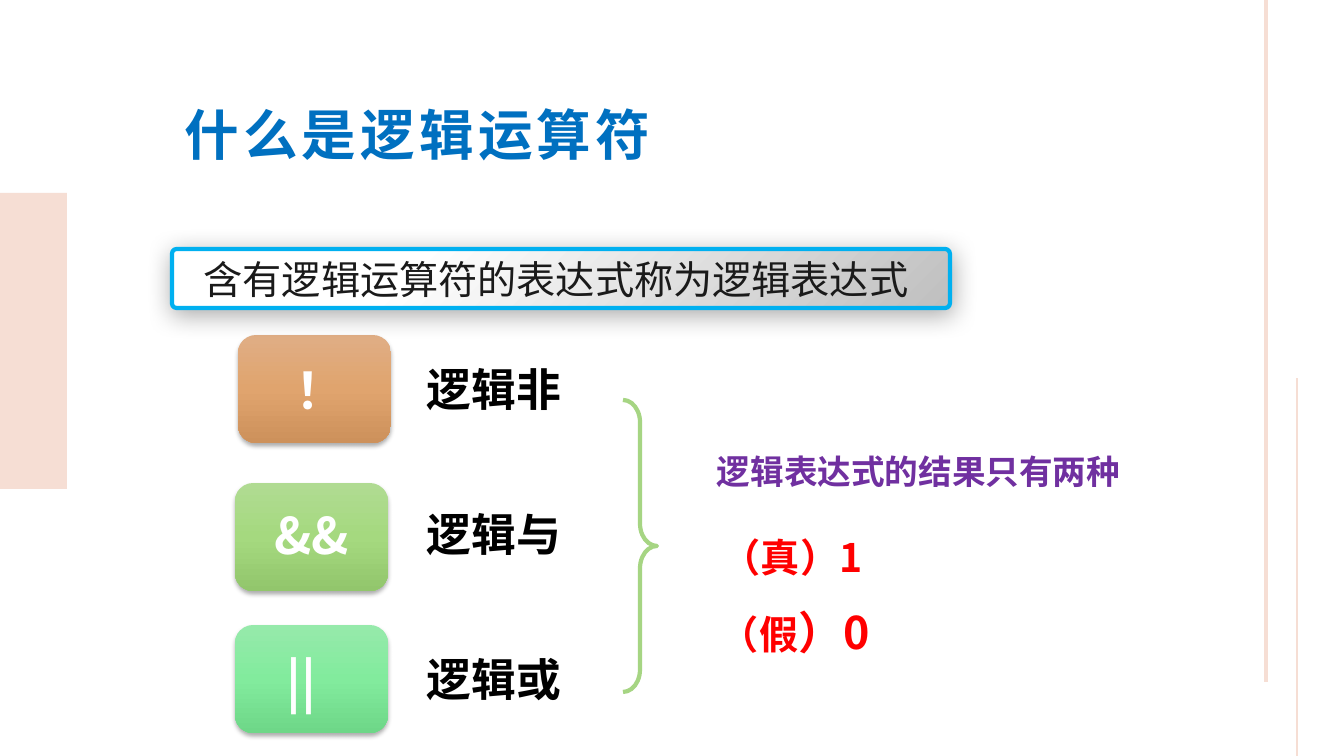
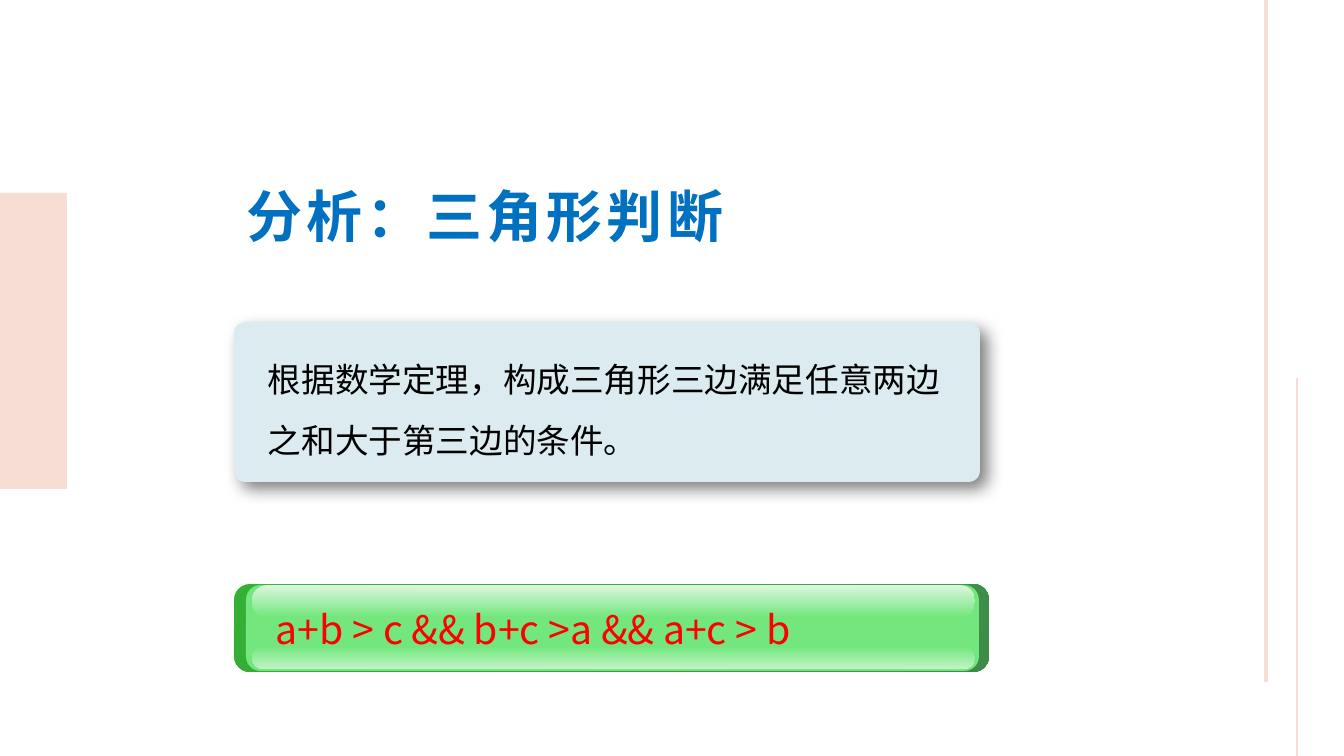
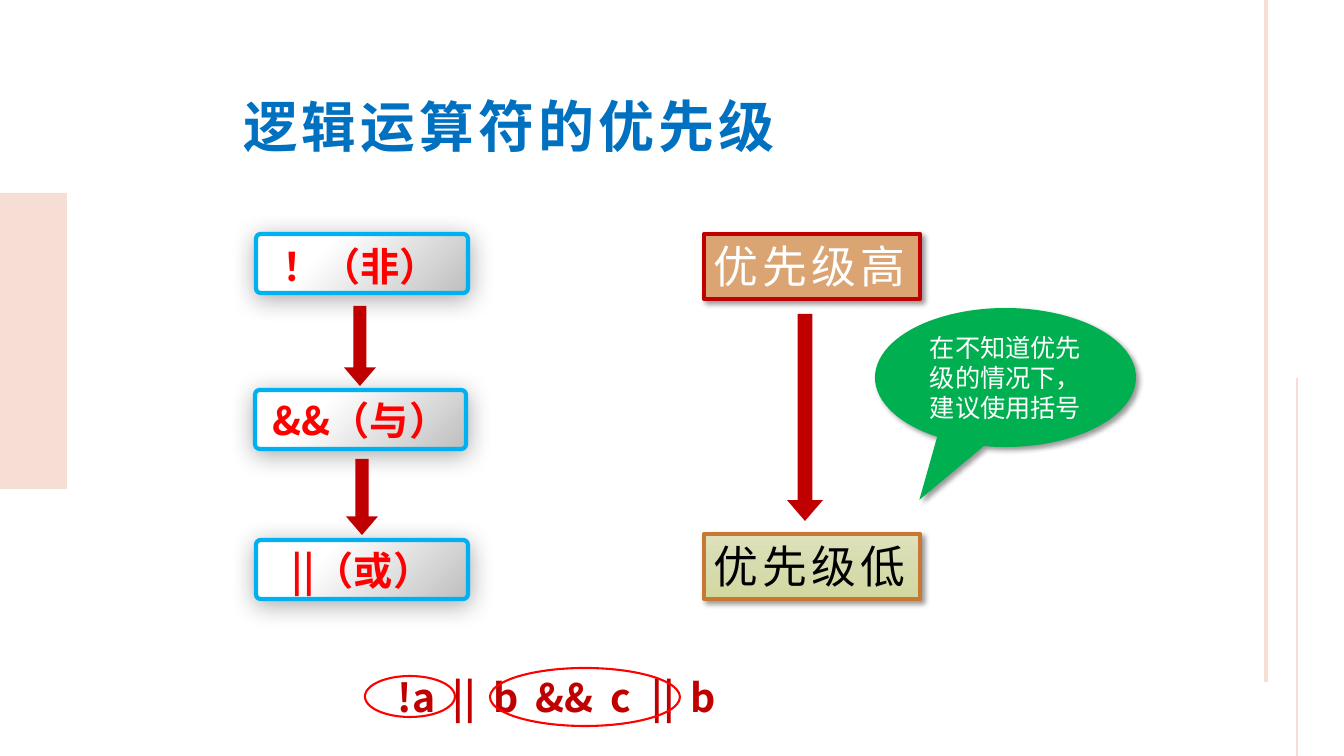
import pptx
import pptx.util
import pptx.dml.color
import pptx.enum.shapes
import pptx.enum.text
import pptx.oxml
import pptx.oxml.ns
from lxml import etree

FONT = "Noto Sans CJK SC"
COLORS = {
    "band": "F6DED4",
    "title": "0070C0",
    "black": "000000",
    "white": "FFFFFF",
    "ink": "1A1A1A",
    "red": "FF0000",
    "crimson": "C00000",
    "purple": "7030A0",
    "panel_edge": "00B0F0",
    "panel_gray": "BFBFBF",
    "brace": "A6D583",
    "card": "DCEBEF",
    "bar": "73E77E",
    "bar_left": "34B034",
    "bar_right": "3F8B4A",
    "bar_shine": "DDF7DF",
    "bar_glow": "C3F2C7",
    "high": "DBA473",
    "low_edge": "C77933",
    "advice": "00B050",
}
ORANGE = [(0, "E0AE85"), (50, "E0A46E"), (100, "CD915B")]
GREEN = [(0, "B0DB92"), (50, "A5D97F"), (100, "92C66C")]
MINT = [(0, "96EAAB"), (50, "82EB9D"), (100, "6ED788")]
OLIVE = [(0, "DEE1BB"), (50, "D7DBAE"), (100, "D3D8A0")]
PANEL = [(30, COLORS["white"]), (100, COLORS["panel_gray"])]

TILE_SHADOW = (32, 3.5, 2.2, 90)
PANEL_SHADOW = (33, 17.8, 3, 87)
CARD_SHADOW = (50, 12, 6, 45)
LABEL_SHADOW = (40, 4, 3, 45)

KIND = pptx.enum.shapes.MSO_SHAPE
CENTER = pptx.enum.text.PP_ALIGN.CENTER
LEFT = pptx.enum.text.PP_ALIGN.LEFT
TOP = pptx.enum.text.MSO_ANCHOR.TOP
MIDDLE = pptx.enum.text.MSO_ANCHOR.MIDDLE


def px(length):
    return pptx.util.Emu(round(length * 914400 / 100.8))


def rgb(name):
    return pptx.dml.color.RGBColor.from_string(COLORS[name])


def add_xml(parent, tag, **attributes):
    child = etree.SubElement(parent, pptx.oxml.ns.qn(tag))
    for key, value in attributes.items():
        child.set(key, str(value))
    return child


def paint_gradient(shape, stops, angle):
    shape.fill.gradient()
    gradient = shape.element.spPr.find(pptx.oxml.ns.qn("a:gradFill"))
    for child in list(gradient):
        gradient.remove(child)
    stop_list = add_xml(gradient, "a:gsLst")
    for position, color in stops:
        stop = add_xml(stop_list, "a:gs", pos=position * 1000)
        add_xml(stop, "a:srgbClr", val=color)
    add_xml(gradient, "a:lin", ang=angle * 60000, scaled=0)


def cast_shadow(shape, alpha, blur, distance, angle):
    effects = shape.element.spPr.find(pptx.oxml.ns.qn("a:effectLst"))
    shadow = add_xml(effects, "a:outerShdw", blurRad=round(blur * 12700),
                     dist=round(distance * 12700), dir=angle * 60000,
                     algn="ctr", rotWithShape=0)
    color = add_xml(shadow, "a:srgbClr", val=COLORS["black"])
    add_xml(color, "a:alpha", val=alpha * 1000)


def add_figure(slide, kind, box, fill=None, angle=90, edge=None, weight=3,
               shadow=None, adjust=()):
    shape = slide.shapes.add_shape(kind, *map(px, box))
    shape.shadow.inherit = False
    for index, value in enumerate(adjust):
        shape.adjustments[index] = value
    if fill is None:
        shape.fill.background()
    elif isinstance(fill, list):
        paint_gradient(shape, fill, angle)
    else:
        shape.fill.solid()
        shape.fill.fore_color.rgb = rgb(fill)
    if edge:
        shape.line.color.rgb = rgb(edge)
        shape.line.width = pptx.util.Pt(weight)
    else:
        shape.line.fill.background()
    if shadow:
        cast_shadow(shape, *shadow)
    return shape


def write(shape, parts, color, bold=False, align=LEFT, anchor=TOP, wrap=True,
          spacing=0, tabs=()):
    frame = shape.text_frame
    frame.word_wrap = wrap
    frame.vertical_anchor = anchor
    paragraph = frame.paragraphs[0]
    paragraph.text = parts[0][0]
    paragraph.alignment = align
    if tabs:
        tab_list = add_xml(paragraph._p.get_or_add_pPr(), "a:tabLst")
        for stop in tabs:
            add_xml(tab_list, "a:tab", pos=px(stop), algn="l")
    for text, size in parts[1:]:
        paragraph.add_run().text = text
    for run, (text, size) in zip(paragraph.runs, parts):
        run.font.size = pptx.util.Pt(size)
        run.font.bold = bold
        run.font.color.rgb = rgb(color)
        run.font.name = FONT
        properties = run._r.get_or_add_rPr()
        add_xml(properties, "a:ea", typeface=FONT)
        if spacing:
            properties.set("spc", str(spacing * 100))
    return paragraph


def add_text(slide, box, parts, color, **style):
    label = slide.shapes.add_textbox(*map(px, box))
    label.text_frame.auto_size = pptx.enum.text.MSO_AUTO_SIZE.SHAPE_TO_FIT_TEXT
    return write(label, parts, color, **style)


def add_title(slide, box, parts):
    add_text(slide, box, parts, "title", bold=True, align=CENTER, wrap=False,
             spacing=3)


def add_panel(slide, box):
    return add_figure(slide, KIND.ROUNDED_RECTANGLE, box, PANEL, 45,
                      "panel_edge", shadow=PANEL_SHADOW, adjust=[0.08])


def add_rule(slide, x, start, end, weight):
    rule = slide.shapes.add_connector(pptx.enum.shapes.MSO_CONNECTOR.STRAIGHT,
                                      px(x), px(start), px(x), px(end))
    rule.line.color.rgb = rgb("band")
    rule.line.width = pptx.util.Pt(weight)
    add_xml(rule.element.spPr, "a:effectLst")
    return rule


def decorate_layout(layout, slide):
    decorations = [
        add_figure(slide, KIND.RECTANGLE, (0, 193, 67, 296), "band"),
        add_rule(slide, 1266, 682, 0, 2.25),
        add_rule(slide, 1297, 756, 378, 1.5),
    ]
    for decoration in decorations:
        layout.shapes.element.append(decoration.element)


def build_operators(slide):
    add_title(slide, (172, 96, 491, 77), [("什么是逻辑运算符", 39)])
    operators = [
        ((238, 335), ORANGE, "！", (286, 354, 56, 72), LEFT, "逻辑非"),
        ((235, 483), GREEN, "&&", (252, 499, 119, 72), CENTER, "逻辑与"),
        ((235, 625), MINT, "||", (277, 645, 77, 72), LEFT, "逻辑或"),
    ]
    for row, (corner, fill, symbol, box, align, meaning) in enumerate(operators):
        add_figure(slide, KIND.ROUNDED_RECTANGLE, (*corner, 153, 108), fill,
                   shadow=TILE_SHADOW)
        add_text(slide, box, [(symbol, 36)], "white", bold=True, align=align)
        add_text(slide, (417, 357 + 145 * row, 169, 65), [(meaning, 32)],
                 "black", bold=True)
    add_figure(slide, KIND.RIGHT_BRACE, (623, 400, 34, 292), edge="brace",
               adjust=[0.66, 0.5])
    add_text(slide, (707, 446, 434, 50), [("逻辑表达式的结果只有两种", 24)],
             "purple", bold=True)
    add_text(slide, (712, 528, 412, 57), [("（真）1", 28)], "red", bold=True)
    add_text(slide, (710, 600, 412, 65), [("（假", 28), ("）0", 32)], "red",
             bold=True)
    add_panel(slide, (172, 249, 778, 59))
    add_text(slide, (193, 250, 726, 57),
             [("含有逻辑运算符的表达式称为逻辑表达式", 28)], "ink", align=CENTER)


def build_triangle(slide):
    add_title(slide, (234, 177, 502, 78), [("分析：三角形判断", 40)])
    add_figure(slide, KIND.ROUNDED_RECTANGLE, (234, 322, 746, 160), "card",
               shadow=CARD_SHADOW, adjust=[0.07])
    theorem = add_text(
        slide, (258, 334, 707, 132),
        [("根据数学定理，构成三角形三边满足任意两边之和大于第三边的条件。", 24)],
        "black")
    theorem.line_spacing = 1.5
    bar, shine, glow = COLORS["bar"], COLORS["bar_shine"], COLORS["bar_glow"]
    rim = [(0, COLORS["bar_left"]), (100, COLORS["bar_right"])]
    layers = [
        ((234, 584, 755, 88), rim, 45, 0.18),
        ((246, 585, 733, 86), "bar", 0, 0.17),
        ((252, 647, 723, 22), [(0, bar), (100, glow)], 90, 0.5),
        ((252, 585, 723, 32), [(0, shine), (100, bar)], 90, 0.5),
    ]
    for box, fill, angle, corner in layers:
        add_figure(slide, KIND.ROUNDED_RECTANGLE, box, fill, angle,
                   adjust=[corner])
    add_text(slide, (266, 600, 670, 57),
             [("a+b > c && b+c >a && a+c > b", 28)], "red")


def build_precedence(slide):
    add_title(slide, (231, 87, 556, 78), [("逻辑运算", 39), ("符的优先级", 40)])
    add_panel(slide, (256, 234, 212, 59))
    add_text(slide, (265, 237, 191, 57), [("！（非）", 28)], "red", bold=True,
             align=CENTER)
    for box, operator in [((255, 390, 211, 59), "&&（与）"),
                          ((256, 540, 212, 59), "||（或）")]:
        write(add_panel(slide, box), [(operator, 28)], "red", bold=True,
              align=CENTER, anchor=MIDDLE)
    for box in [(344, 306, 32, 80), (346, 459, 32, 76), (787, 314, 36, 207)]:
        add_figure(slide, KIND.DOWN_ARROW, box, "crimson", adjust=[0.41, 0.58])
    levels = [
        (234, "high", "crimson", "优先级高", "white"),
        (534, OLIVE, "low_edge", "优先级低", "black"),
    ]
    for top, fill, edge, level, color in levels:
        label = add_figure(slide, KIND.RECTANGLE, (704, top, 216, 65), fill,
                           edge=edge, shadow=LABEL_SHADOW)
        write(label, [(level, 32)], color, wrap=False, spacing=3)
    add_text(slide, (388, 668, 435, 57), [("!a\t||\tb\t&&\tc\t||\tb", 28)],
             "crimson", bold=True, tabs=(55, 96, 138, 213, 254, 293))
    advice = add_figure(slide, KIND.OVAL_CALLOUT, (875, 308, 261, 139),
                        "advice", shadow=LABEL_SHADOW, adjust=[-0.33, 0.88])
    write(advice, [("在不知道优先级的情况下，建议使用括号", 18)], "white",
          align=CENTER, anchor=MIDDLE)
    for box in [(365, 676, 90, 41), (490, 668, 190, 58)]:
        add_figure(slide, KIND.OVAL, box, edge="red", weight=1.5)


def main():
    deck = pptx.Presentation()
    deck.slide_width = px(1344)
    deck.slide_height = px(756)
    blank = deck.slide_layouts[6]
    slides = [deck.slides.add_slide(blank) for _ in range(3)]
    decorate_layout(blank, slides[0])
    for build, slide in zip([build_operators, build_triangle, build_precedence],
                            slides):
        build(slide)
    deck.save("out.pptx")


if __name__ == "__main__":
    main()
